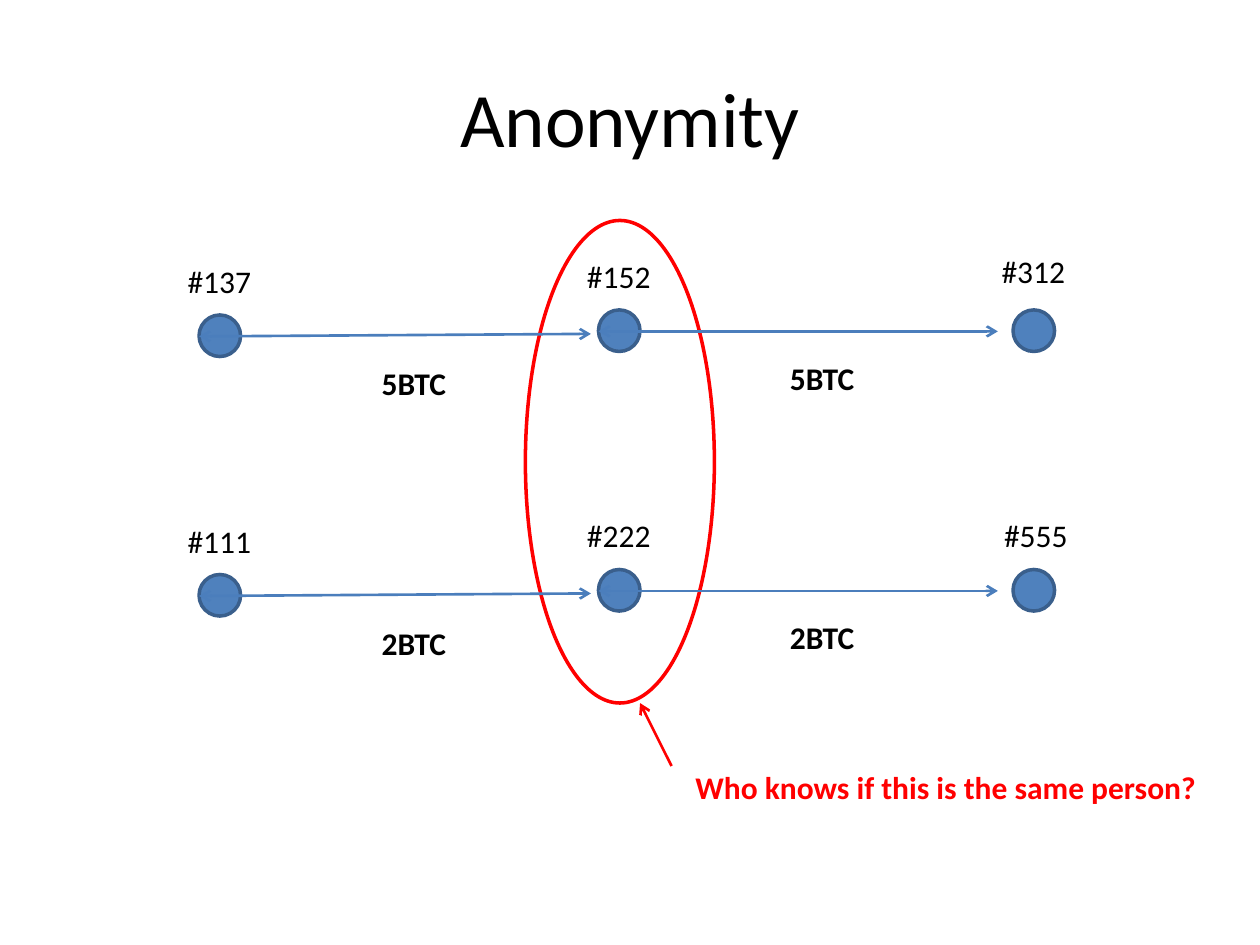
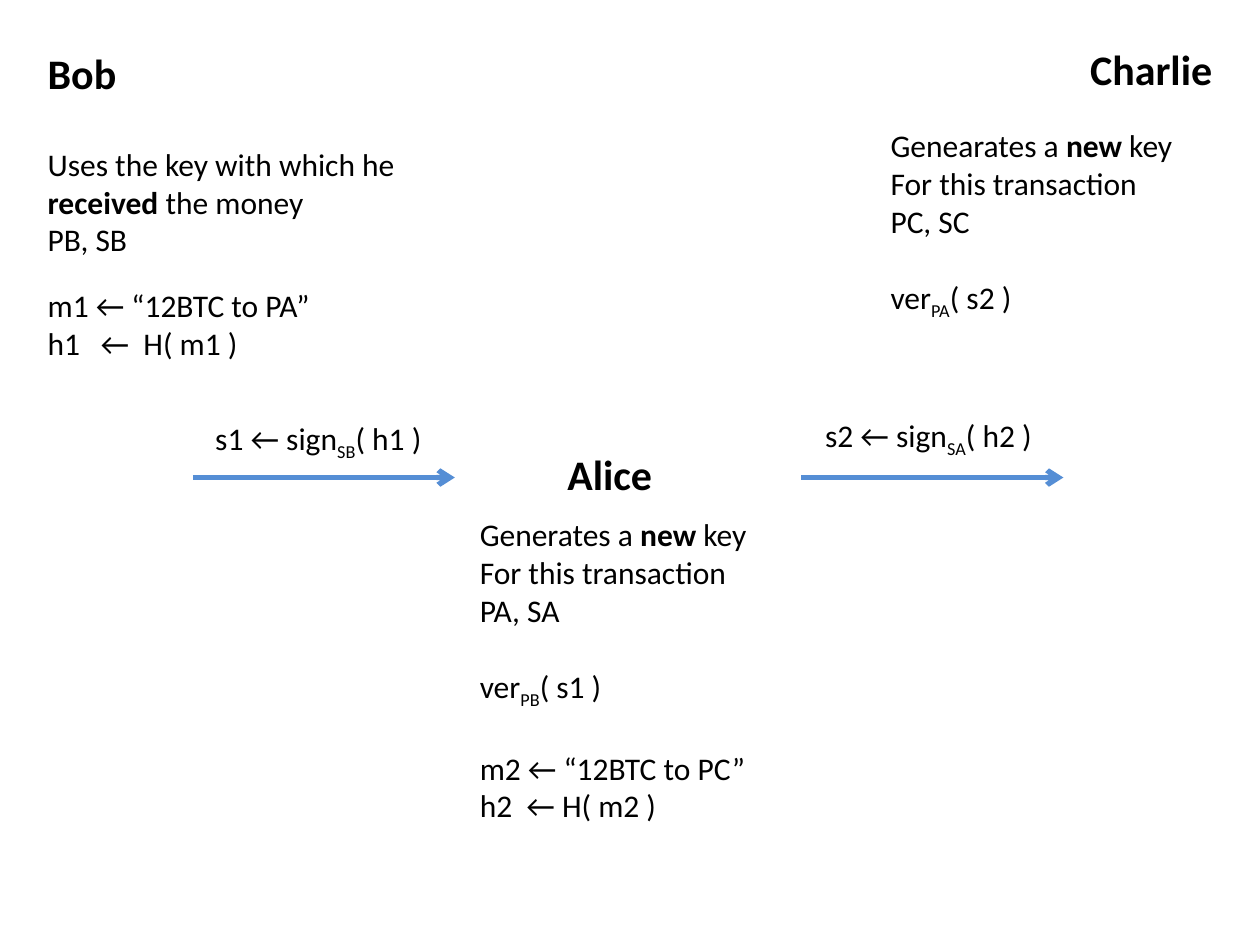
from dataclasses import dataclass
from typing import NamedTuple

from lxml import etree
from pptx import Presentation
from pptx.dml.color import RGBColor
from pptx.enum import shapes, text
from pptx.oxml import ns
from pptx.util import Inches, Pt

# Shared style
FONT = "Calibri"
BLACK = RGBColor(0x00, 0x00, 0x00)
WHITE = RGBColor(0xFF, 0xFF, 0xFF)
RED = RGBColor(0xFF, 0x00, 0x00)
NODE_FILL = RGBColor(0x4F, 0x81, 0xBD)
NODE_LINE = RGBColor(0x3A, 0x5F, 0x8C)
PAYMENT_BLUE = RGBColor(0x4B, 0x7E, 0xBC)
MESSAGE_BLUE = RGBColor(0x55, 0x8E, 0xD5)
TITLE_ONLY, BLANK = 5, 6
BODY_SIZE, NAME_SIZE, TITLE_SIZE = 18, 24, 44
LINE_GAP = 22
LEFT, CENTER, RIGHT = text.PP_ALIGN.LEFT, text.PP_ALIGN.CENTER, text.PP_ALIGN.RIGHT


class Run(NamedTuple):
    text: str
    bold: bool = False
    subscript: bool = False


class Line(NamedTuple):
    runs: tuple[Run, ...]
    gap_before: float = 0
    tabs: tuple[float, ...] = ()


class Box(NamedTuple):
    left: float
    top: float
    width: float
    height: float

    def lengths(self) -> tuple:
        return tuple(Inches(value) for value in self)


@dataclass
class Flow:
    """One chain of payments between three addresses."""
    top: float
    addresses: tuple[str, str, str]
    amount: str
    last_label: tuple[float, float]


@dataclass
class Party:
    name: str
    box: Box
    align: text.PP_ALIGN


@dataclass
class Message:
    """A signature sent along an arrow."""
    start: float
    box: Box
    runs: tuple[Run, ...]


# Drawing functions
def plain(words: str, gap_before: float = 0, tabs: tuple[float, ...] = ()) -> Line:
    return Line((Run(words),), gap_before, tabs)


def fill_text(frame, lines, *, size=BODY_SIZE, color=BLACK, bold=False, align=LEFT) -> None:
    for index, line in enumerate(lines):
        paragraph = frame.paragraphs[0] if index == 0 else frame.add_paragraph()
        paragraph.alignment = align
        if line.gap_before:
            paragraph.space_before = Pt(line.gap_before)
        if line.tabs:
            properties = paragraph._p.get_or_add_pPr()
            tab_list = etree.SubElement(properties, ns.qn("a:tabLst"))
            for position in line.tabs:
                etree.SubElement(tab_list, ns.qn("a:tab"), pos=str(Inches(position)), algn="l")
        for part in line.runs:
            run = paragraph.add_run()
            run.text = part.text
            font = run.font
            font.name, font.size = FONT, Pt(size)
            font.bold = bold or part.bold
            font.color.rgb = color
            if part.subscript:
                run._r.get_or_add_rPr().set("baseline", "-25000")


def add_text(slide, box: Box, lines, **style) -> None:
    if isinstance(lines, str):
        lines = [plain(lines)]
    frame = slide.shapes.add_textbox(*box.lengths()).text_frame
    frame.word_wrap = False
    frame.auto_size = text.MSO_AUTO_SIZE.SHAPE_TO_FIT_TEXT
    fill_text(frame, lines, **style)


def add_ellipse(slide, box: Box, fill: RGBColor, line: RGBColor) -> None:
    shape = slide.shapes.add_shape(shapes.MSO_SHAPE.OVAL, *box.lengths())
    shape.shadow.inherit = False
    shape.fill.solid()
    shape.fill.fore_color.rgb = fill
    shape.line.color.rgb = line
    shape.line.width = Pt(2)


def add_arrow(slide, start, end, color: RGBColor, width=1.5, both_ends=False) -> None:
    points = (Inches(value) for value in (*start, *end))
    connector = slide.shapes.add_connector(shapes.MSO_CONNECTOR.STRAIGHT, *points)
    connector.line.color.rgb = color
    connector.line.width = Pt(width)
    outline = connector.line._get_or_add_ln()
    for end_name in ("a:headEnd", "a:tailEnd") if both_ends else ("a:tailEnd",):
        etree.SubElement(outline, ns.qn(end_name), type="arrow")
    etree.SubElement(connector._element.spPr, ns.qn("a:effectLst"))


# Slide 1: chains of payments
NODE_SIZE = 0.33
NODE_LEFTS = (1.58, 4.75, 8.04)
FIRST_NODE_DROP = 0.04
ARROW_ENDS = (4.69, 7.92)
FLOWS = (
    Flow(2.46, ("#137", "#152", "#312"), "5BTC", (7.85, 1.95)),
    Flow(4.52, ("#111", "#222", "#555"), "2BTC", (7.87, 4.05)),
)


def draw_flow(slide, flow: Flow) -> None:
    tops = (flow.top + FIRST_NODE_DROP, flow.top, flow.top)
    label_places = [(left - 0.19, top - 0.47) for left, top in zip(NODE_LEFTS, tops)]
    label_places[-1] = flow.last_label
    for left, top, place, address in zip(NODE_LEFTS, tops, label_places, flow.addresses):
        add_ellipse(slide, Box(left, top, NODE_SIZE, NODE_SIZE), NODE_FILL, NODE_LINE)
        add_text(slide, Box(*place, 0.71, 0.4), address)
    arrow_drops = ((0.17, 0.19), (0.17, 0.17))
    for left, top, right, drops, amount_left in zip(
            NODE_LEFTS, tops, ARROW_ENDS, arrow_drops, (2.93, 6.17)):
        add_arrow(slide, (left, top + drops[0]), (right, flow.top + drops[1]),
                  PAYMENT_BLUE, both_ends=True)
        add_text(slide, Box(amount_left, top + 0.34, 0.71, 0.4), flow.amount, bold=True)


def build_anonymity(presentation) -> None:
    slide = presentation.slides.add_slide(presentation.slide_layouts[TITLE_ONLY])
    title = slide.shapes.title
    title.left, title.top, title.width, title.height = Box(0.5, 0.3, 9, 1.25).lengths()
    title.text_frame.vertical_anchor = text.MSO_ANCHOR.MIDDLE
    fill_text(title.text_frame, [plain("Anonymity")], size=TITLE_SIZE, align=CENTER)

    add_ellipse(slide, Box(4.17, 1.75, 1.5, 3.83), WHITE, RED)
    for flow in FLOWS:
        draw_flow(slide, flow)

    # Question about the circled addresses
    add_arrow(slide, (5.33, 6.08), (5.08, 5.58), RED)
    add_text(slide, Box(5.42, 6.05, 4.21, 0.4), "Who knows if this is the same person?",
             color=RED, bold=True)


# Slide 2: signing and verifying a transfer
PARTIES = (
    Party("Bob", Box(0.28, 0.33, 0.75, 0.5), LEFT),
    Party("Alice", Box(4.4, 3.51, 0.88, 0.5), CENTER),
    Party("Charlie", Box(8.54, 0.3, 1.18, 0.5), RIGHT),
)
MESSAGES = (
    Message(1.53, Box(1.61, 3.28, 1.92, 0.4),
            (Run("s1 ← sign"), Run("SB", subscript=True), Run("( h1 )"))),
    Message(6.36, Box(6.45, 3.25, 1.9, 0.4),
            (Run("s2 ← sign"), Run("SA", subscript=True), Run("( h2 )"))),
)
MESSAGE_TOP, MESSAGE_LENGTH = 3.79, 2.08


def receiver_lines(verb: str, keys: str, sender_key: str, signature: str) -> list[Line]:
    return [
        Line((Run(f"{verb} a "), Run("new", bold=True), Run(" key"))),
        plain("For this transaction"),
        plain(keys),
        Line((Run("ver"), Run(sender_key, subscript=True), Run(f"( {signature} )")), LINE_GAP),
    ]


def build_transfer(presentation) -> None:
    slide = presentation.slides.add_slide(presentation.slide_layouts[BLANK])
    for party in PARTIES:
        add_text(slide, party.box, party.name, size=NAME_SIZE, bold=True, align=party.align)

    # Bob's steps
    add_text(slide, Box(0.28, 1.1, 2.99, 1.01), [
        plain("Uses the key with which he"),
        Line((Run("received ", bold=True), Run("the money"))),
        plain("PB, SB"),
    ])
    add_text(slide, Box(0.28, 2.22, 2.32, 0.71), [
        plain("m1 ← “12BTC to PA”"),
        plain("h1\t←\tH( m1 )", tabs=(0.42, 0.76)),
    ])

    # Alice's and Charlie's steps
    add_text(slide, Box(3.71, 4.04, 2.43, 2.52), [
        *receiver_lines("Generates", "PA, SA", "PB", "s1"),
        plain("m2 ← “12BTC to PC”", LINE_GAP),
        plain("h2\t← H( m2 )", tabs=(0.37,)),
    ])
    add_text(slide, Box(6.97, 0.95, 2.46, 1.62),
             receiver_lines("Genearates", "PC, SC", "PA", "s2"))

    # Signatures passed on
    for message in MESSAGES:
        add_arrow(slide, (message.start, MESSAGE_TOP),
                  (message.start + MESSAGE_LENGTH, MESSAGE_TOP), MESSAGE_BLUE, width=3)
        add_text(slide, message.box, [Line(message.runs)])


def main() -> None:
    presentation = Presentation()
    presentation.slide_width, presentation.slide_height = Inches(10), Inches(7.5)
    build_anonymity(presentation)
    build_transfer(presentation)
    presentation.save("out.pptx")


if __name__ == "__main__":
    main()
